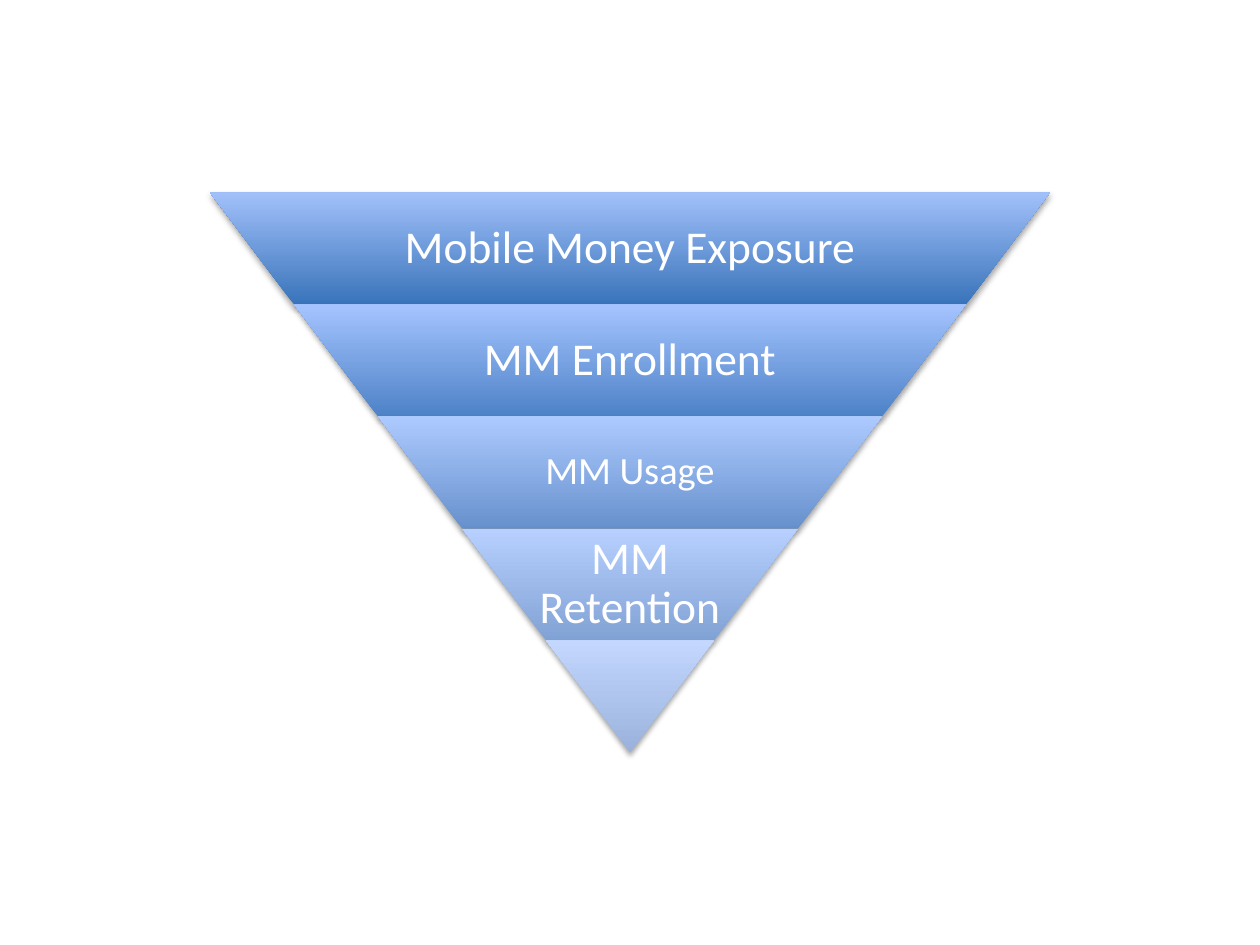
from lxml import etree
from pptx import Presentation
from pptx.dml.color import RGBColor
from pptx.enum.shapes import MSO_SHAPE as Shape
from pptx.enum.text import MSO_ANCHOR as Anchor, PP_ALIGN as Align
from pptx.oxml import parse_xml
from pptx.oxml.ns import nsdecls, qn
from pptx.util import Pt

WHITE = RGBColor(0xFF, 0xFF, 0xFF)

# label, text size, bottom colour, top colour
STAGES = [
    ("Mobile Money Exposure", 26, RGBColor(0x39, 0x74, 0xBA), RGBColor(0xA1, 0xC0, 0xFA)),
    ("MM Enrollment", 26, RGBColor(0x4D, 0x82, 0xC7), RGBColor(0xA5, 0xC4, 0xFF)),
    ("MM Usage", 22, RGBColor(0x67, 0x91, 0xCD), RGBColor(0xAD, 0xCA, 0xFF)),
    ("MM Retention", 26, RGBColor(0x81, 0xA2, 0xD4), RGBColor(0xB7, 0xD0, 0xFF)),
    ("", 26, RGBColor(0x9A, 0xB2, 0xDB), RGBColor(0xC3, 0xD7, 0xFF)),
]

SLIDE_WIDTH, SLIDE_HEIGHT = 720, 540
FUNNEL_WIDTH, FUNNEL_HEIGHT = 480, 320
FUNNEL_TOP = (SLIDE_HEIGHT - FUNNEL_HEIGHT) / 2
BAND_HEIGHT = FUNNEL_HEIGHT / len(STAGES)
BAND_STEP = FUNNEL_WIDTH / len(STAGES)
LABEL_SHARE = 0.65

SHADOW = (
    f'<a:effectLst {nsdecls("a")}>'
    f'<a:outerShdw blurRad="{Pt(3.1)}" dist="{Pt(1.8)}" dir="5400000" rotWithShape="0">'
    '<a:srgbClr val="000000"><a:alpha val="35000"/></a:srgbClr>'
    '</a:outerShdw></a:effectLst>'
)


def centred_box(width, top):
    """Return left, top, width and height of a band-high box centred on the slide."""
    left = (SLIDE_WIDTH - width) / 2
    return Pt(left), Pt(top), Pt(width), Pt(BAND_HEIGHT)


def add_band(shapes, width, top, bottom_colour, top_colour):
    """Add one upside-down trapezoid with a vertical gradient and a soft shadow."""
    band = shapes.add_shape(Shape.TRAPEZOID, *centred_box(width, top))
    band.adjustments[0] = BAND_STEP / 2 / BAND_HEIGHT
    band.rotation = 180
    band.line.fill.background()
    band.fill.gradient()
    band.fill.gradient_angle = 90
    for stop, colour in zip(band.fill.gradient_stops, (bottom_colour, top_colour)):
        stop.color.rgb = colour
    properties = band._element.spPr
    properties.find(qn("a:gradFill")).set("rotWithShape", "0")
    properties.append(parse_xml(SHADOW))


def add_label(shapes, width, top, label, size):
    """Add the centred white label of a band."""
    box = shapes.add_textbox(*centred_box(width * LABEL_SHARE, top))
    frame = box.text_frame
    frame.word_wrap = True
    frame.vertical_anchor = Anchor.MIDDLE
    frame.margin_left = frame.margin_right = Pt(size / 10)
    frame.margin_top = frame.margin_bottom = Pt(size / 10)
    frame.text = label
    paragraph = frame.paragraphs[0]
    paragraph.alignment = Align.CENTER
    paragraph.line_spacing = 0.9
    spacing = etree.SubElement(paragraph._p.get_or_add_pPr(), qn("a:spcAft"))
    etree.SubElement(spacing, qn("a:spcPct")).set("val", "35000")
    font = paragraph.runs[0].font
    font.name = "Calibri"
    font.size = Pt(size)
    font.color.rgb = WHITE


presentation = Presentation()
presentation.slide_width = Pt(SLIDE_WIDTH)
presentation.slide_height = Pt(SLIDE_HEIGHT)
slide = presentation.slides.add_slide(presentation.slide_layouts[6])
funnel = slide.shapes.add_group_shape()

for index, (label, size, bottom_colour, top_colour) in enumerate(STAGES):
    width = FUNNEL_WIDTH - index * BAND_STEP
    top = FUNNEL_TOP + index * BAND_HEIGHT
    add_band(funnel.shapes, width, top, bottom_colour, top_colour)
    if label:
        add_label(funnel.shapes, width, top, label, size)

presentation.save("out.pptx")
